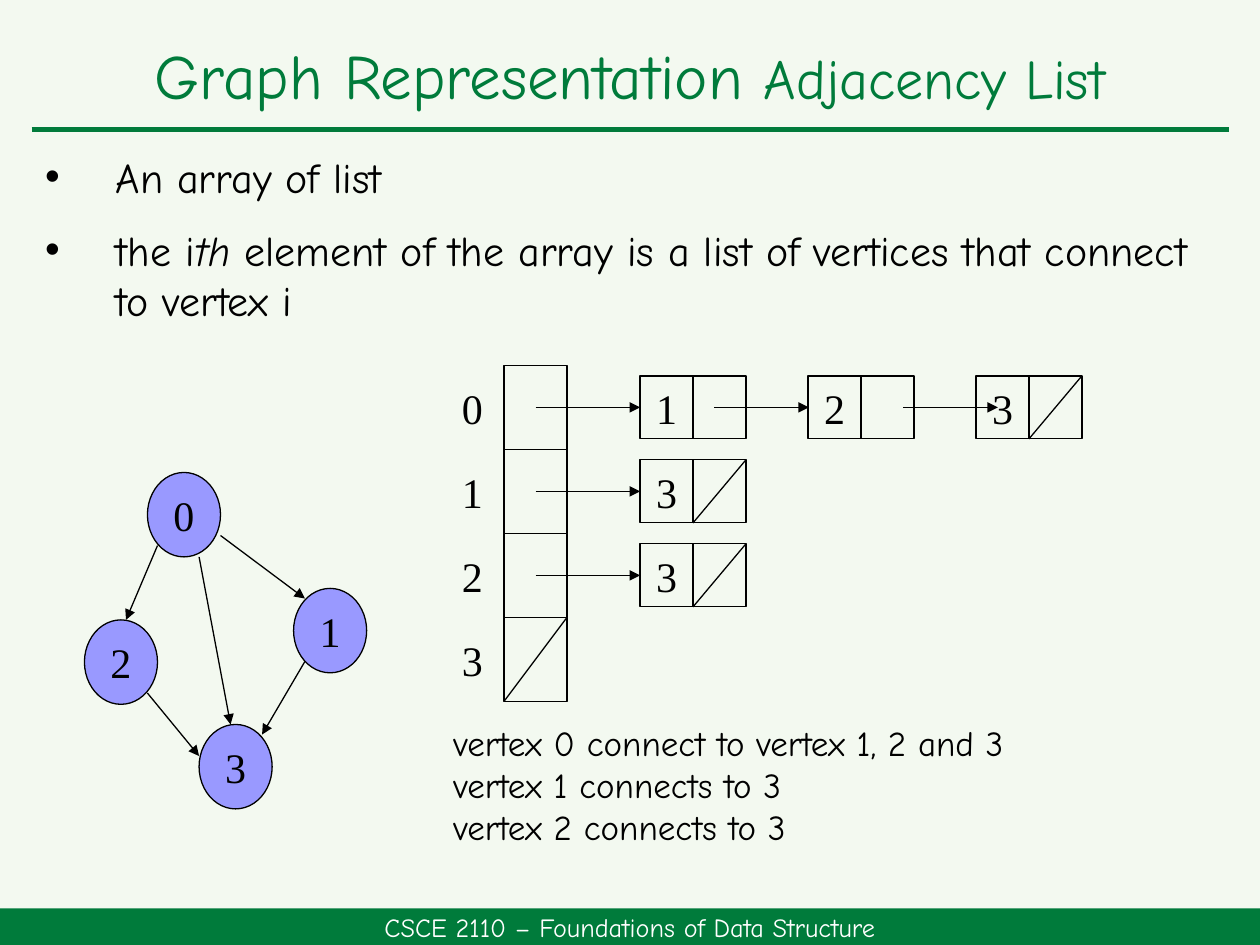
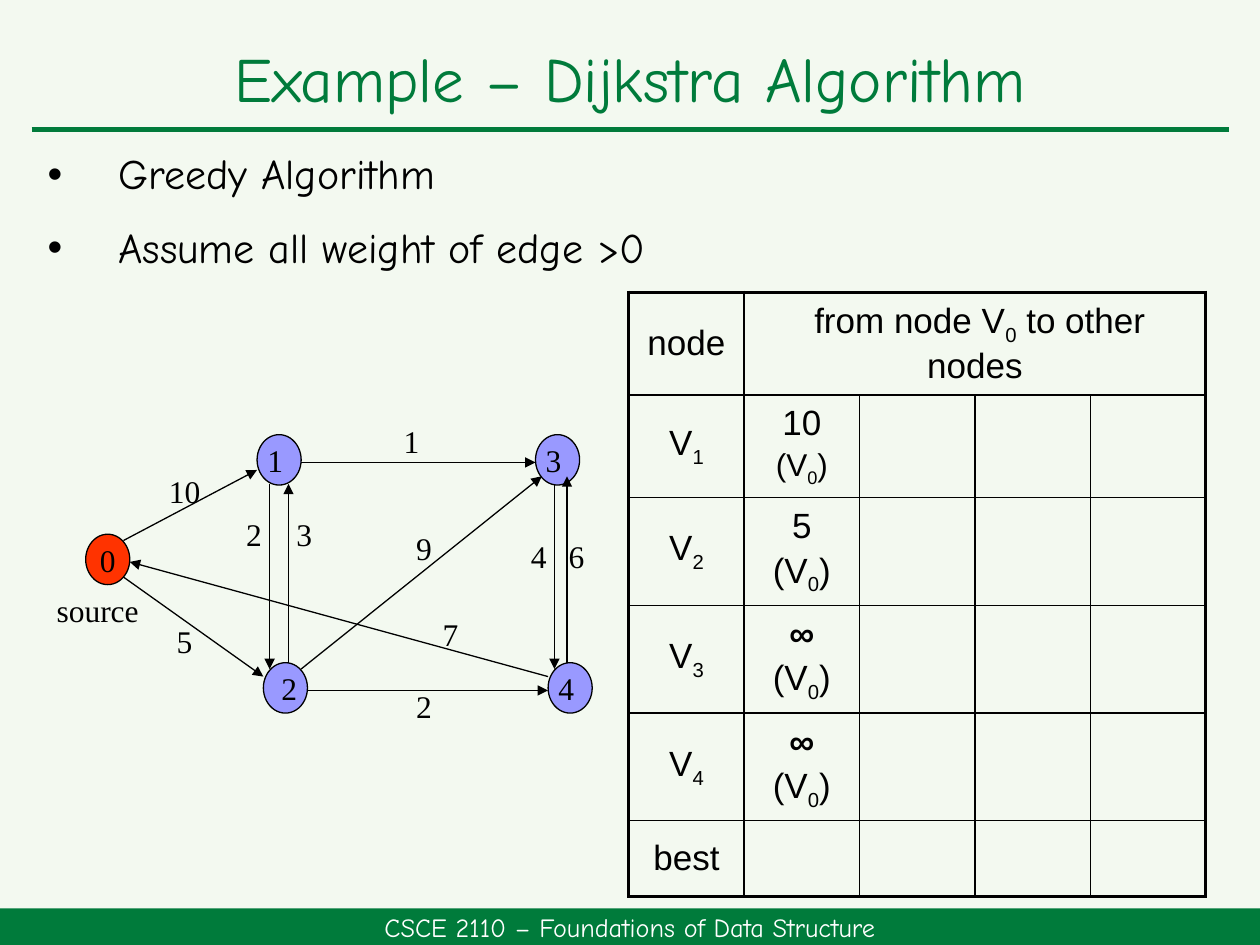
import dataclasses

import pptx
import pptx.dml.color
import pptx.enum.shapes
import pptx.enum.text
import pptx.oxml
import pptx.oxml.ns
import pptx.util

Inches = pptx.util.Inches
Pt = pptx.util.Pt
RGBColor = pptx.dml.color.RGBColor
SHAPE = pptx.enum.shapes.MSO_SHAPE
ALIGN = pptx.enum.text.PP_ALIGN
ANCHOR = pptx.enum.text.MSO_ANCHOR

GREEN = RGBColor(0x00, 0x7B, 0x3B)
PALE_GREEN = RGBColor(0xF3, 0xF9, 0xF0)
LILAC = RGBColor(0x99, 0x99, 0xFF)
RED = RGBColor(0xFF, 0x33, 0x00)
BLACK = RGBColor(0x00, 0x00, 0x00)
WHITE = RGBColor(0xFF, 0xFF, 0xFF)

HAND = "Comic Neue"
SERIF = "Times New Roman"
SANS = "Arial"
FOOTER = "CSCE 2110 – Foundations of Data Structure"


@dataclasses.dataclass
class Span:
    text: str
    size: float = None
    bold: bool = None
    italic: bool = None
    subscript: bool = False


@dataclasses.dataclass
class TextStyle:
    font: str
    size: float
    color: RGBColor = BLACK
    align: ALIGN = ALIGN.CENTER
    line_spacing: float = None
    before: float = 0
    after: float = 0
    bullet: bool = False


def add_child(parent, xml):
    """Append one DrawingML element, given without its namespace declaration."""
    declared = xml.replace("/>", " " + pptx.oxml.ns.nsdecls("a") + "/>")
    parent.append(pptx.oxml.parse_xml(declared))


def write(frame, paragraphs, style):
    """Fill a text frame; a paragraph is a string or a list of strings and Spans."""
    for index, spans in enumerate(paragraphs):
        para = frame.paragraphs[0] if index == 0 else frame.add_paragraph()
        para.alignment = style.align
        para.line_spacing = style.line_spacing
        para.space_before = Pt(style.before)
        para.space_after = Pt(style.after)
        if style.bullet:
            properties = para._p.get_or_add_pPr()
            properties.set("marL", str(Inches(0.56)))
            properties.set("indent", str(-Inches(0.56)))
            add_child(properties, '<a:buFont typeface="Arial"/>')
            add_child(properties, '<a:buChar char="•"/>')
        para.font.name = style.font
        para.font.size = Pt(style.size)
        para.font.color.rgb = style.color
        for span in [spans] if isinstance(spans, str) else spans:
            if isinstance(span, str):
                span = Span(span)
            run = para.add_run()
            run.text = span.text
            if span.size:
                run.font.size = Pt(span.size)
            if span.bold:
                run.font.bold = True
            if span.italic:
                run.font.italic = True
            if span.subscript:
                run._r.get_or_add_rPr().set("baseline", "-25000")


class Lecture:
    """Holds the deck, the page being drawn and the shared look."""

    def __init__(self):
        self.deck = pptx.Presentation()
        self.deck.slide_width = Inches(10)
        self.deck.slide_height = Inches(7.5)
        self.page = None

    def new_page(self, title, title_top, title_height):
        self.page = self.deck.slides.add_slide(self.deck.slide_layouts[6])
        self.page.background.fill.solid()
        self.page.background.fill.fore_color.rgb = PALE_GREEN
        self.line((0.25, 1.03), (9.75, 1.03), color=GREEN, width=3)
        self.shape(SHAPE.RECTANGLE, 0, 7.21, 10, 0.29, FOOTER,
                   TextStyle(HAND, 15, WHITE), fill=GREEN, outline=None)
        self.text(0.25, title_top, 9.5, title_height, [title],
                  TextStyle(HAND, 36, GREEN, line_spacing=0.9), ANCHOR.MIDDLE)

    def text(self, left, top, width, height, paragraphs, style,
             anchor=ANCHOR.TOP, wrap=True):
        box = self.page.shapes.add_textbox(
            Inches(left), Inches(top), Inches(width), Inches(height))
        box.text_frame.word_wrap = wrap
        box.text_frame.vertical_anchor = anchor
        write(box.text_frame, paragraphs, style)

    def label(self, left, top, width, height, text, size):
        self.text(left, top, width, height, [text], TextStyle(SERIF, size),
                  ANCHOR.MIDDLE, wrap=False)

    def shape(self, kind, left, top, width, height, text=None, style=None,
              fill=None, outline=BLACK):
        shape = self.page.shapes.add_shape(
            kind, Inches(left), Inches(top), Inches(width), Inches(height))
        shape.shadow.inherit = False
        if fill is None:
            shape.fill.background()
        else:
            shape.fill.solid()
            shape.fill.fore_color.rgb = fill
        if outline is None:
            shape.line.fill.background()
        else:
            shape.line.color.rgb = outline
            shape.line.width = Pt(0.75)
        if text:
            shape.text_frame.word_wrap = False
            shape.text_frame.vertical_anchor = ANCHOR.MIDDLE
            write(shape.text_frame, [text], style)

    def line(self, start, end, arrow=False, color=BLACK, width=0.75):
        points = [Inches(value) for value in (*start, *end)]
        line = self.page.shapes.add_connector(
            pptx.enum.shapes.MSO_CONNECTOR.STRAIGHT, *points)
        line.line.color.rgb = color
        line.line.width = Pt(width)
        if arrow:
            add_child(line.line._get_or_add_ln(), '<a:tailEnd type="triangle"/>')
        add_child(line._element.spPr, "<a:effectLst/>")

    def arrows(self, ends):
        for start, end in ends:
            self.line(start, end, arrow=True)

    def slash(self, left, top, width, height):
        """Mark a cell as a null pointer."""
        self.line((left + width, top), (left, top + height))

    def table(self, left, top, column_widths, row_heights, contents, style):
        """Build a table; contents maps (row, column) to paragraphs."""
        rows, columns = len(row_heights), len(column_widths)
        table = self.page.shapes.add_table(
            rows, columns, Inches(left), Inches(top),
            Inches(sum(column_widths)), Inches(sum(row_heights))).table
        table.first_row = False
        table.horz_banding = False
        for column, width in zip(table.columns, column_widths):
            column.width = Inches(width)
        for row, height in zip(table.rows, row_heights):
            row.height = Inches(height)
        table.cell(0, 1).merge(table.cell(0, columns - 1))
        for r in range(rows):
            for c in range(columns):
                cell = table.cell(r, c)
                outer = {"L": c == 0, "R": c + cell.span_width == columns,
                         "T": r == 0, "B": r == rows - 1}
                self.cell_borders(cell, outer)
                cell.fill.background()
                cell.vertical_anchor = ANCHOR.MIDDLE
                if (r, c) in contents:
                    write(cell.text_frame, contents[r, c], style)
                    cell.text_frame.paragraphs[0].space_before = Pt(0)

    def cell_borders(self, cell, outer):
        for side, is_outer in outer.items():
            width = Pt(2.25 if is_outer else 1)
            cell._tc.get_or_add_tcPr().append(pptx.oxml.parse_xml(
                f'<a:ln{side} {pptx.oxml.ns.nsdecls("a")} w="{width}"><a:solidFill>'
                f'<a:srgbClr val="{BLACK}"/></a:solidFill></a:ln{side}>'))


def adjacency_list_page(lecture):
    lecture.new_page(["Graph Representation ", Span("Adjacency List", size=32)], 0.23, 0.8)
    lecture.text(0.26, 1.15, 9.5, 1.58, [
        "An array of list",
        ["the i", Span("th", italic=True),
         " element of the array is a list of vertices that connect to vertex i"],
    ], TextStyle(HAND, 24, align=ALIGN.LEFT, before=10, after=3, bullet=True))

    number = TextStyle(SERIF, 24)
    vertices = {"0": (1.17, 3.75), "1": (2.33, 4.67), "3": (1.58, 5.75), "2": (0.67, 4.92)}
    for name, (left, top) in vertices.items():
        lecture.shape(SHAPE.OVAL, left, top, 0.58, 0.67, name, number, fill=LILAC)
    lecture.arrows([
        ((1.25, 4.33), (1, 4.92)), ((1.17, 5.5), (1.58, 6)),
        ((1.75, 4.25), (2.42, 4.75)), ((2.42, 5.25), (2.08, 5.83)),
        ((1.58, 4.42), (1.83, 5.75)),
    ])

    neighbours = ["123", "3", "3", ""]
    links = [(4.25, 5.08), (5.67, 6.42), (7.17, 7.92)]
    row_height, cell_width, cell_height = 2 / 3, 0.42, 0.5
    for vertex, chain in enumerate(neighbours):
        top = 2.9 + vertex * row_height
        cell_top = top + (row_height - cell_height) / 2
        lecture.shape(SHAPE.RECTANGLE, 4, top, 0.5, row_height)
        lecture.label(3.5, top, 0.5, row_height, str(vertex), 24)
        if not chain:
            lecture.slash(4, top, 0.5, row_height)
        for position, name in enumerate(chain):
            left = 5.08 + position * 4 / 3
            pointer_left = left + cell_width
            lecture.shape(SHAPE.RECTANGLE, left, cell_top, cell_width, cell_height,
                          name, number)
            lecture.shape(SHAPE.RECTANGLE, pointer_left, cell_top, cell_width, cell_height)
            if position == len(chain) - 1:
                lecture.slash(pointer_left, cell_top, cell_width, cell_height)
        middle = top + row_height / 2
        lecture.arrows(((start, middle), (end, middle))
                       for (start, end), _ in zip(links, chain))

    lecture.text(3.5, 5.68, 6.25, 1.11, [
        "vertex 0 connect to vertex 1, 2 and 3",
        "vertex 1 connects to 3",
        "vertex 2 connects to 3",
    ], TextStyle(HAND, 20, align=ALIGN.LEFT))


def dijkstra_page(lecture):
    lecture.new_page("Example – Dijkstra Algorithm", 0.33, 0.65)
    lecture.text(0.28, 1.17, 8.5, 1.17,
                 ["Greedy Algorithm", "Assume all weight of edge >0"],
                 TextStyle(HAND, 24, align=ALIGN.LEFT, line_spacing=0.9,
                           before=10, after=6, bullet=True))

    nodes = [("0", 0.68, 4.24, RED), ("1 ", 2.04, 3.45, LILAC), (" 2", 2.09, 5.26, LILAC),
             ("3 ", 4.25, 3.45, LILAC), ("4 ", 4.35, 5.26, LILAC)]
    for name, left, top, color in nodes:
        lecture.shape(SHAPE.OVAL, left, top, 0.35, 0.4, name, TextStyle(SERIF, 18), fill=color)
    lecture.arrows([
        ((0.98, 4.58), (2.09, 5.37)), ((0.98, 4.29), (2.04, 3.73)),
        ((2.39, 3.67), (4.25, 3.67)), ((2.44, 5.48), (4.35, 5.48)),
        ((4.4, 3.84), (4.4, 5.31)), ((4.5, 5.26), (4.5, 3.78)),
        ((2.14, 3.84), (2.14, 5.31)), ((2.29, 5.26), (2.29, 3.84)),
        ((2.39, 5.31), (4.3, 3.78)), ((4.35, 5.37), (1.03, 4.46)),
    ])
    weights = [("5", 1.24, 4.92), ("10", 1.24, 3.73), ("2", 1.79, 4.07), ("3", 2.19, 4.07),
               ("1", 3.04, 3.33), ("2", 3.14, 5.43), ("7", 3.35, 4.86), ("4", 4.05, 4.24),
               ("9", 3.14, 4.18), ("6", 4.35, 4.24)]
    for weight, left, top in weights:
        lecture.label(left, top, 0.45, 0.34, weight, 18)
    lecture.label(0.25, 4.67, 1.05, 0.34, "source", 18)

    zero = Span("0", subscript=True)
    contents = {(0, 0): ["node"], (0, 1): [[" from node V", zero, " to other nodes"]],
                (5, 0): ["best"]}
    for row, distance in enumerate(["10", "5", "∞", "∞"], start=1):
        size = 18 if row == 1 else 20
        contents[row, 0] = [["V", Span(str(row), subscript=True)]]
        contents[row, 1] = [
            [Span(distance, bold=distance == "∞")],
            [Span("(V", size), Span("0", size, subscript=True), Span(")", size)],
        ]
    lecture.table(4.99, 2.32, [4.58 / 5] * 5, [0.77, 0.79, 0.83, 0.83, 0.83, 0.6],
                  contents, TextStyle(SANS, 20, before=3))


def main():
    lecture = Lecture()
    adjacency_list_page(lecture)
    dijkstra_page(lecture)
    lecture.deck.save("out.pptx")


if __name__ == "__main__":
    main()
